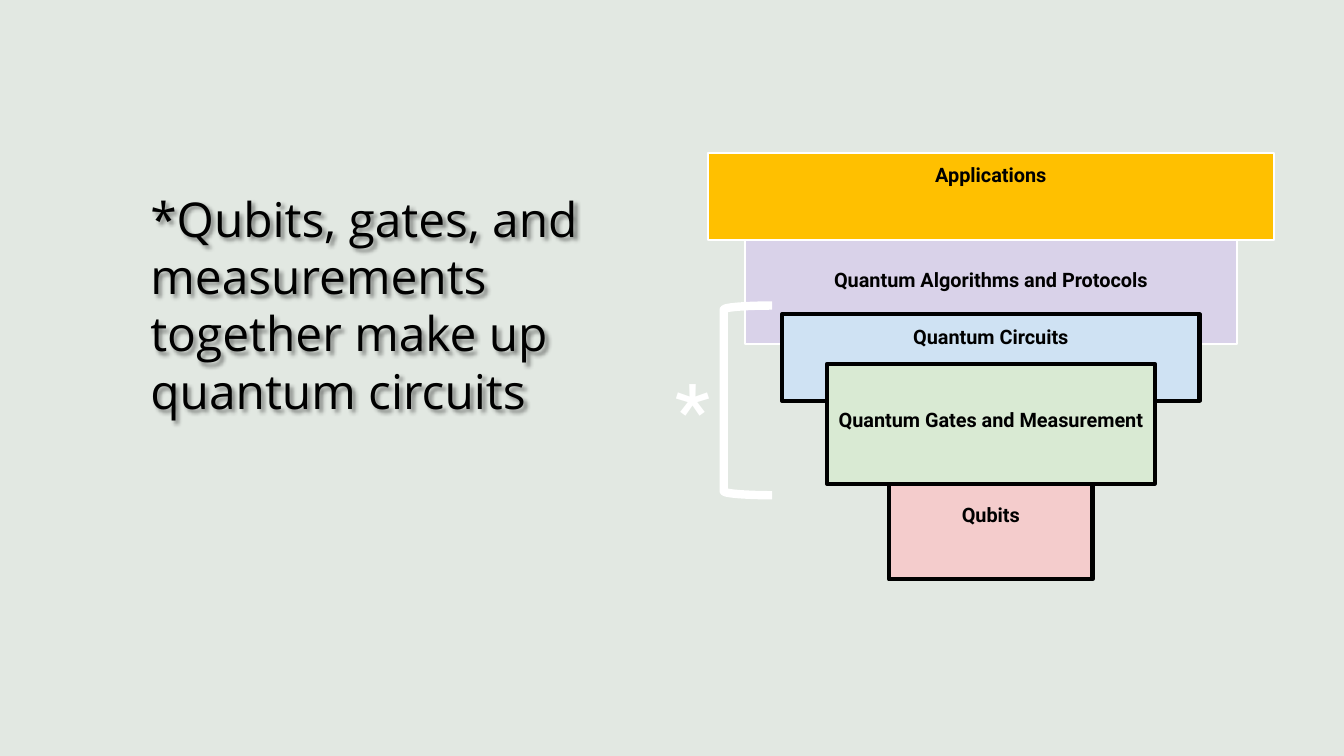
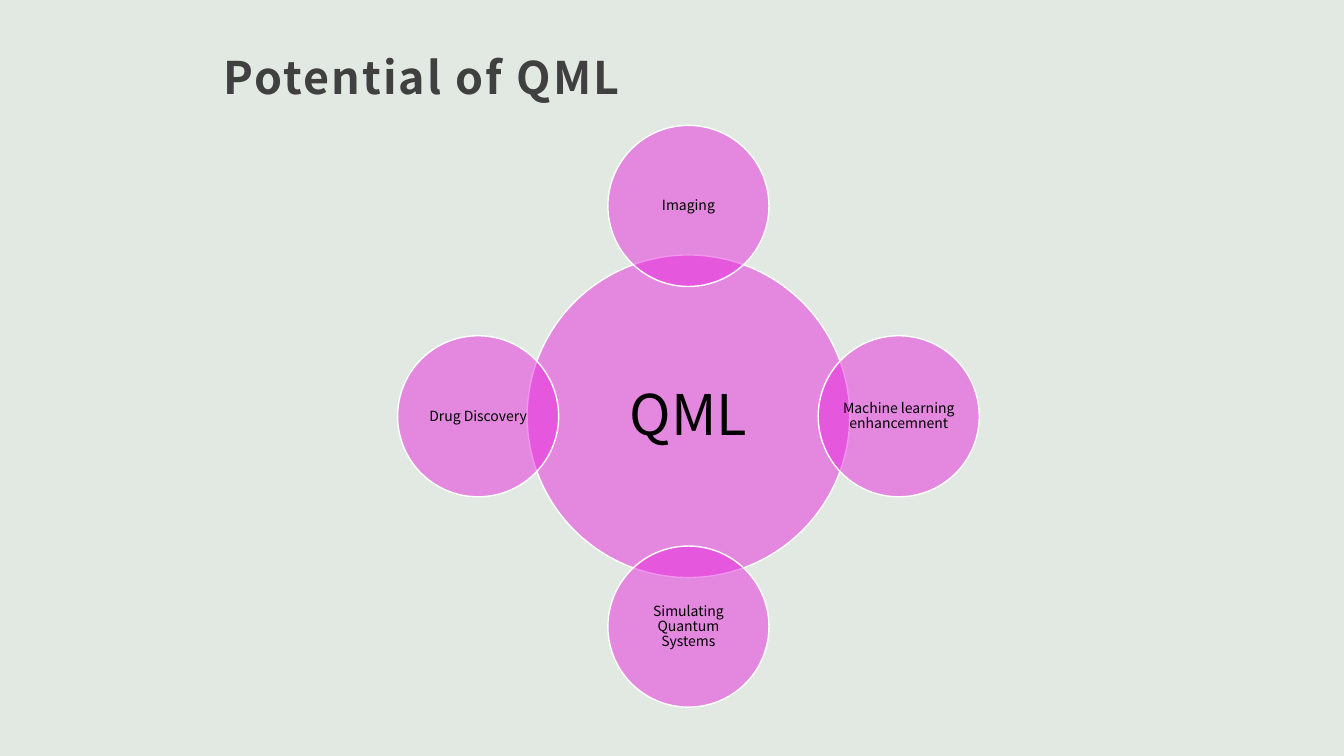
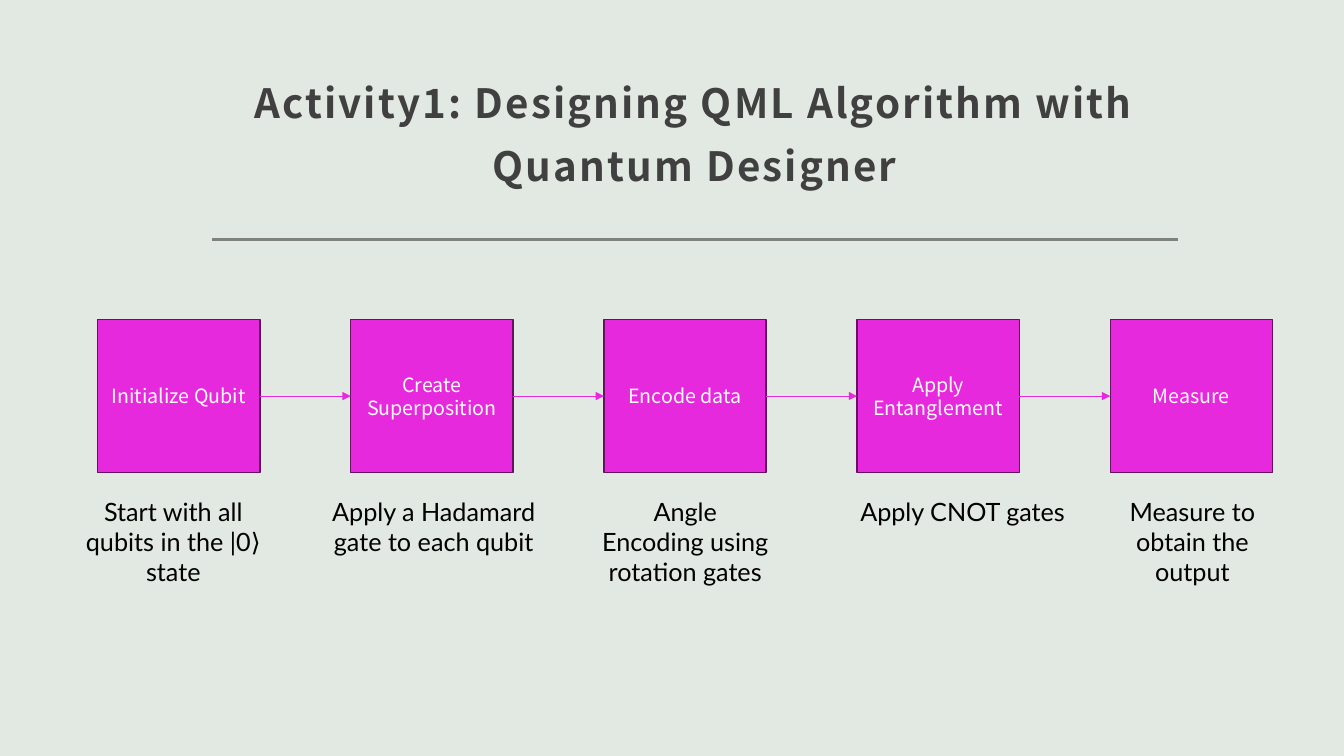
import math

from pptx import Presentation
from pptx import util as u
from pptx.dml.color import RGBColor
from pptx.enum import shapes, text
from pptx.oxml import parse_xml
from pptx.oxml.ns import nsdecls, qn

# Shared look
BACKGROUND, PINK, BLACK, WHITE = "E2E8E2", "E729DE", "000000", "FFFFFF"
SANS = "Noto Sans CJK JP"
TITLE_LEFT, TITLE_WIDTH = 5.33, 24.36
CENTER = text.PP_ALIGN.CENTER
TOP, MIDDLE, BOTTOM = (text.MSO_ANCHOR.TOP, text.MSO_ANCHOR.MIDDLE,
                       text.MSO_ANCHOR.BOTTOM)
RECTANGLE, OVAL = shapes.MSO_SHAPE.RECTANGLE, shapes.MSO_SHAPE.OVAL
BRACKET = shapes.MSO_SHAPE.LEFT_BRACKET

# Slide 1: layers from back to front
# (label, top, width, height, fill, line colour, line width, top inset)
LAYER_CENTER = 24.97
LAYERS = [
    ("Qubits", 11.58, 5.13, 3.02, "F4CCCC", BLACK, 3, 1.09),
    ("Quantum Algorithms and Protocols", 5.66, 12.4, 3.02, "D9D2E9", WHITE, 1.5, 1.09),
    ("Quantum Circuits", 7.92, 10.52, 2.18, "CFE2F3", BLACK, 3, 0.25),
    ("Quantum Gates and Measurement", 9.17, 8.26, 3.02, "D9EAD3", BLACK, 3, 1.09),
    ("Applications", 3.86, 14.27, 2.18, "FFC000", WHITE, 1.5, 0.25),
]
STATEMENT = "*Qubits, gates, and measurements together make up quantum circuits"

# Slide 2: hub, then satellites clockwise from the top
POTENTIAL_TITLE = "Potential of QML"
HUB = "QML"
HUB_X, HUB_Y, HUB_SIZE = 17.35, 10.49, 8.13
ORBIT, SATELLITE_SIZE = 5.3, 4.06
SATELLITES = ["Imaging", "Machine learning enhancemnent",
              "Simulating Quantum Systems", "Drug Discovery"]

# Slide 3: (step, caption, caption centre, caption width)
ACTIVITY_TITLE = "Activity1: Designing QML Algorithm with Quantum Designer"
STEPS = [
    ("Initialize Qubit", "Start with all qubits in the |0⟩ state", 4.37, 5.33),
    ("Create Superposition", "Apply a Hadamard gate to each qubit", 10.93, 6.78),
    ("Encode data", "Angle\nEncoding using rotation gates", 17.27, 4.88),
    ("Apply\nEntanglement", "Apply CNOT gates", 24.26, 6.2),
    ("Measure", "Measure to obtain the output", 30.05, 4.67),
]
STEP_LEFT, STEP_TOP, STEP_PITCH = 2.46, 8.05, 6.38
STEP_WIDTH, STEP_HEIGHT, CAPTION_TOP = 4.09, 3.86, 12.37


def color(value):
    return RGBColor.from_string(value)


def apply(target, values):
    for name, value in values.items():
        setattr(target, name, value)


def write(shape, content, font, size, ink, bold=False, align=None, leading=None,
          anchor=TOP, insets=(0.25, 0.13, 0.25, 0.13), spacing=None):
    """Fill a shape with text; insets are left, top, right, bottom."""
    frame = shape.text_frame
    apply(frame, {"word_wrap": True, "vertical_anchor": anchor})
    sides = ("margin_left", "margin_top", "margin_right", "margin_bottom")
    apply(frame, dict(zip(sides, map(u.Cm, insets))))
    frame.text = content
    for paragraph in frame.paragraphs:
        apply(paragraph, {"alignment": align,
                          "line_spacing": u.Pt(leading) if leading else None})
        for run in paragraph.runs:
            apply(run.font, {"name": font, "size": u.Pt(size), "bold": bold})
            run.font.color.rgb = color(ink)
            if spacing:
                run.font._element.set("spc", str(spacing))


def add_text(slide, box, content, **style):
    shape = slide.shapes.add_textbox(*map(u.Cm, box))
    write(shape, content, **style)
    return shape


def add_shape(slide, kind, box, fill, line, width, opacity=None):
    shape = slide.shapes.add_shape(kind, *map(u.Cm, box))
    shape.shadow.inherit = False
    if fill:
        shape.fill.solid()
        shape.fill.fore_color.rgb = color(fill)
    else:
        shape.fill.background()
    shape.line.color.rgb = color(line)
    shape.line.width = u.Pt(width)
    if opacity:
        solid = shape._element.spPr.find(qn("a:solidFill"))
        solid[0].append(parse_xml(
            f'<a:alpha {nsdecls("a")} val="{opacity * 1000}"/>'))
    return shape


def add_line(slide, ends, line, width, arrow=False):
    connector = slide.shapes.add_connector(
        shapes.MSO_CONNECTOR.STRAIGHT, *map(u.Cm, ends))
    connector.line.color.rgb = color(line)
    connector.line.width = u.Pt(width)
    if arrow:
        connector.line._get_or_add_ln().append(
            parse_xml(f'<a:tailEnd {nsdecls("a")} type="triangle"/>'))
    connector._element.spPr.append(parse_xml(f'<a:effectLst {nsdecls("a")}/>'))
    return connector


def add_title(slide, content, top, height, size, leading, align=None):
    add_text(slide, (TITLE_LEFT, top, TITLE_WIDTH, height), content, font=SANS,
             size=size, ink="404040", bold=True, align=align, leading=leading,
             anchor=BOTTOM, insets=(0.3, 0.3, 0.3, 0.17), spacing=150)


def build_layers(slide):
    for label, top, width, height, fill, line, weight, inset in LAYERS:
        box = (LAYER_CENTER - width / 2, top, width, height)
        layer = add_shape(slide, RECTANGLE, box, fill, line, weight)
        write(layer, label, font="Roboto", size=14.2, ink=BLACK, bold=True,
              align=CENTER, insets=(0.1, inset, 0.1, 0.25))

    # Statement with a soft shadow behind its letters
    statement = add_text(slide, (2.34, 4.52, 14, 6.58), STATEMENT, font="Open Sans",
                         size=34.2, ink=BLACK, leading=41,
                         insets=(1.45, 0.25, 0.25, 0.25))
    statement._element.spPr.append(parse_xml(
        f'<a:effectLst {nsdecls("a")}>'
        '<a:outerShdw blurRad="38100" dist="38100" dir="2700000">'
        '<a:srgbClr val="000000"><a:alpha val="43000"/></a:srgbClr>'
        '</a:outerShdw></a:effectLst>'))

    # Bracket and its star
    bracket = add_shape(slide, BRACKET, (18.24, 7.7, 1.22, 4.78), None, WHITE, 6)
    bracket.adjustments[0] = 0.083
    add_text(slide, (15.52, 8.76, 3.05, 3.66), "*", font="Manrope", size=68.4,
             ink=WHITE, insets=(1.45, 0.25, 0, 0.25))


def build_potential(slide):
    add_title(slide, POTENTIAL_TITLE, 0, 2.79, 32, 50)
    circles = [(HUB, HUB_X, HUB_Y, HUB_SIZE, 40)]
    for index, label in enumerate(SATELLITES):
        angle = math.tau * index / len(SATELLITES)
        circles.append((label, HUB_X + ORBIT * math.sin(angle),
                        HUB_Y - ORBIT * math.cos(angle), SATELLITE_SIZE, 10))
    for label, x, y, diameter, size in circles:
        box = (x - diameter / 2, y - diameter / 2, diameter, diameter)
        circle = add_shape(slide, OVAL, box, PINK, WHITE, 1, opacity=50)
        write(circle, label, font=SANS, size=size, ink=BLACK, align=CENTER,
              leading=size * 1.1, anchor=MIDDLE, insets=(0.03,) * 4)


def build_activity(slide):
    add_line(slide, (TITLE_LEFT, 6.04, TITLE_LEFT + TITLE_WIDTH, 6.04), "808080", 2)
    add_title(slide, ACTIVITY_TITLE, 1.22, 3.73, 28.8, 45, CENTER)
    boxes = []
    for index, (step, caption, center, width) in enumerate(STEPS):
        left = STEP_LEFT + index * STEP_PITCH
        box = add_shape(slide, RECTANGLE, (left, STEP_TOP, STEP_WIDTH, STEP_HEIGHT),
                        PINK, "651261", 1)
        write(box, step, font=SANS, size=14, ink=WHITE, align=CENTER, leading=17,
              anchor=MIDDLE)
        boxes.append(box)
        add_text(slide, (center - width / 2, CAPTION_TOP, width, 2.57), caption,
                 font="Lato", size=18, ink=BLACK, align=CENTER)

    # Arrows from each step's right side to the next one's left side
    for before, after in zip(boxes, boxes[1:]):
        arrow = add_line(slide, (0, 0, 0, 0), PINK, 0.75, arrow=True)
        arrow.begin_connect(before, 3)
        arrow.end_connect(after, 1)


def main():
    presentation = Presentation()
    apply(presentation, {"slide_width": u.Cm(33.87), "slide_height": u.Cm(19.05)})
    background = presentation.slide_master.background.fill
    background.solid()
    background.fore_color.rgb = color(BACKGROUND)
    for build in (build_layers, build_potential, build_activity):
        build(presentation.slides.add_slide(presentation.slide_layouts[6]))
    presentation.save("out.pptx")


if __name__ == "__main__":
    main()
